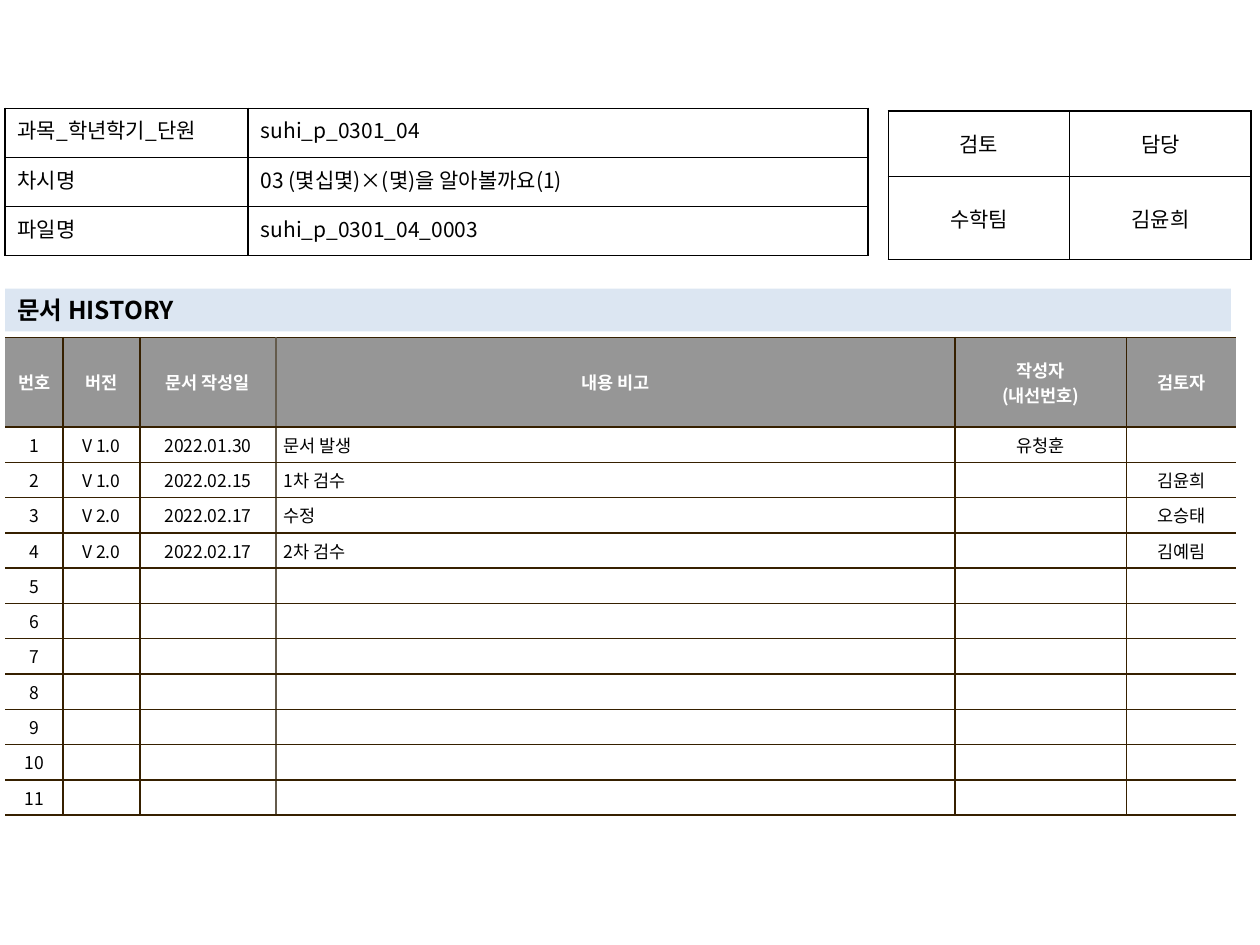
import dataclasses
import typing

import lxml.etree
import pptx
import pptx.dml.color
import pptx.enum.shapes
import pptx.enum.text
import pptx.oxml.ns
import pptx.util

Inches = pptx.util.Inches
ALIGN = pptx.enum.text.PP_ALIGN
ANCHOR = pptx.enum.text.MSO_ANCHOR
FONT = "Noto Sans CJK KR"
COLORS = {
    "black": "000000", "white": "FFFFFF", "gray": "969696",
    "brown": "362000", "taupe": "645B4C", "band": "DCE6F2",
}


@dataclasses.dataclass
class Style:
    size: float
    color: str = "black"
    bold: bool = False
    fill: typing.Optional[str] = None
    anchor: typing.Any = ANCHOR.MIDDLE
    inset: tuple[float, float] = (0.1, 0.05)


@dataclasses.dataclass
class Grid:
    left: float
    top: float
    cols: list[float]
    rows: list[float]
    texts: list[list[str]]
    aligns: list
    body: Style
    head: Style
    line: str = "black"
    sides: bool = True  # outer left and right borders
    soft: int = -1  # column whose left border is lighter


def tint(name: str) -> pptx.dml.color.RGBColor:
    return pptx.dml.color.RGBColor.from_string(COLORS[name])


def child(node, tag: str, **attrs: str):
    return lxml.etree.SubElement(node, pptx.oxml.ns.qn(tag), attrs)


def write(frame, text: str, style: Style, align) -> None:
    frame.text = text
    for para in frame.paragraphs:
        para.alignment = align
        for run in para.runs:
            values = {"size": pptx.util.Pt(style.size), "name": FONT,
                      "bold": style.bold}
            for key, value in values.items():
                setattr(run.font, key, value)
            run.font.color.rgb = tint(style.color)
            child(run.font._element, "a:ea", typeface=FONT)
        if not para.runs:  # keeps the empty row low
            child(para._p, "a:endParaRPr", sz=str(int(style.size * 100)))


def edge(cell, side: str, color: typing.Optional[str]) -> None:
    line = child(cell._tc.get_or_add_tcPr(), f"a:ln{side}", w="12700")
    if color is None:
        child(line, "a:noFill")
    else:
        child(child(line, "a:solidFill"), "a:srgbClr", val=COLORS[color])


def draw_grid(slide, grid: Grid) -> None:
    frame = slide.shapes.add_table(
        len(grid.rows), len(grid.cols), Inches(grid.left), Inches(grid.top),
        Inches(sum(grid.cols)), Inches(sum(grid.rows)))
    table = frame.table
    table.first_row = table.horz_banding = False
    for col, width in zip(table.columns, grid.cols):
        col.width = Inches(width)
    for row, height in zip(table.rows, grid.rows):
        row.height = Inches(height)

    last = len(grid.cols) - 1
    outer = grid.line if grid.sides else None
    for r, line in enumerate(grid.texts):
        style = grid.body if r else grid.head
        for c, text in enumerate(line):
            cell = table.cell(r, c)
            across, down = map(Inches, style.inset)
            values = {
                "margin_left": across, "margin_right": across,
                "margin_top": down, "margin_bottom": down,
                "vertical_anchor": style.anchor,
            }
            for key, value in values.items():
                setattr(cell, key, value)
            left = "taupe" if c == grid.soft else grid.line
            right = "taupe" if c + 1 == grid.soft else grid.line
            edge(cell, "L", left if c else outer)
            edge(cell, "R", right if c < last else outer)
            edge(cell, "T", grid.line)
            edge(cell, "B", grid.line)
            if style.fill:
                cell.fill.solid()
                cell.fill.fore_color.rgb = tint(style.fill)
            else:
                cell.fill.background()
            align = grid.aligns[c] if r else grid.aligns[0]
            write(cell.text_frame, text, style, align)


def draw_band(slide, text: str) -> None:
    band = slide.shapes.add_shape(
        pptx.enum.shapes.MSO_SHAPE.RECTANGLE,
        Inches(0.04), Inches(2.29), Inches(9.73), Inches(0.34))
    band.shadow.inherit = False
    band.fill.solid()
    band.fill.fore_color.rgb = tint("band")
    band.line.fill.background()
    band.text_frame.vertical_anchor = ANCHOR.TOP
    write(band.text_frame, text, Style(14, bold=True), ALIGN.LEFT)


def main() -> None:
    deck = pptx.Presentation()
    deck.slide_width, deck.slide_height = Inches(10), Inches(7.5)
    slide = deck.slides.add_slide(deck.slide_layouts[6])

    # History table: filled entries, then numbered empty rows
    titles = ["번호", "버전", "문서 작성일", "내용 비고",
              "작성자\n(내선번호)", "검토자"]
    notes = [
        ["V 1.0", "2022.01.30", "문서 발생", "유청훈", ""],
        ["V 1.0", "2022.02.15", "1차 검수", "", "김윤희"],
        ["V 2.0", "2022.02.17", "수정", "", "오승태"],
        ["V 2.0", "2022.02.17", "2차 검수", "", "김예림"],
    ]
    count = 11
    notes += [[""] * 5] * (count - len(notes))
    texts = [titles] + [[str(n), *note] for n, note in enumerate(notes, 1)]
    aligns = [ALIGN.CENTER] * 6
    aligns[3] = ALIGN.LEFT
    tight = (0.06, 0.04)
    draw_grid(slide, Grid(
        0.04, 2.68, [0.46, 0.61, 1.08, 5.39, 1.36, 0.87],
        [0.71] + [0.28] * count, texts, aligns,
        body=Style(10, fill="white", inset=tight),
        head=Style(10, "white", True, "gray", inset=tight),
        line="brown", sides=False, soft=3))

    # Sign-off table
    plain = Style(12)
    draw_grid(slide, Grid(
        7.05, 0.88, [1.44] * 2, [0.52, 0.66],
        [["검토", "담당"], ["수학팀", "김윤희"]],
        [ALIGN.CENTER] * 2, plain, plain))

    # Section band
    draw_band(slide, "문서 HISTORY")

    # Lesson table
    upper = Style(12, anchor=ANCHOR.TOP)
    draw_grid(slide, Grid(
        0.04, 0.86, [1.93, 4.92], [0.39] * 3,
        [["과목_학년학기_단원", "suhi_p_0301_04"],
         ["차시명", "03 (몇십몇)×(몇)을 알아볼까요(1)"],
         ["파일명", "suhi_p_0301_04_0003"]],
        [ALIGN.LEFT] * 2, upper, upper))

    deck.save("out.pptx")


if __name__ == "__main__":
    main()
